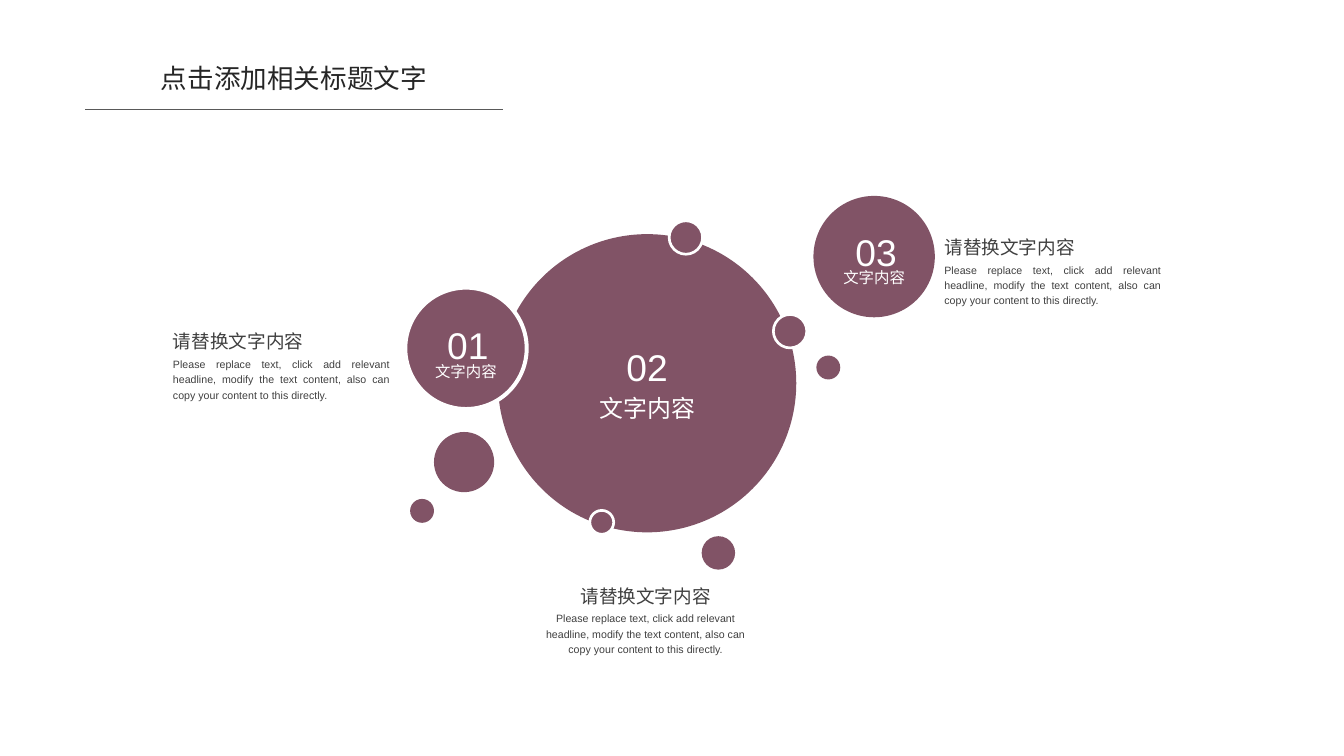
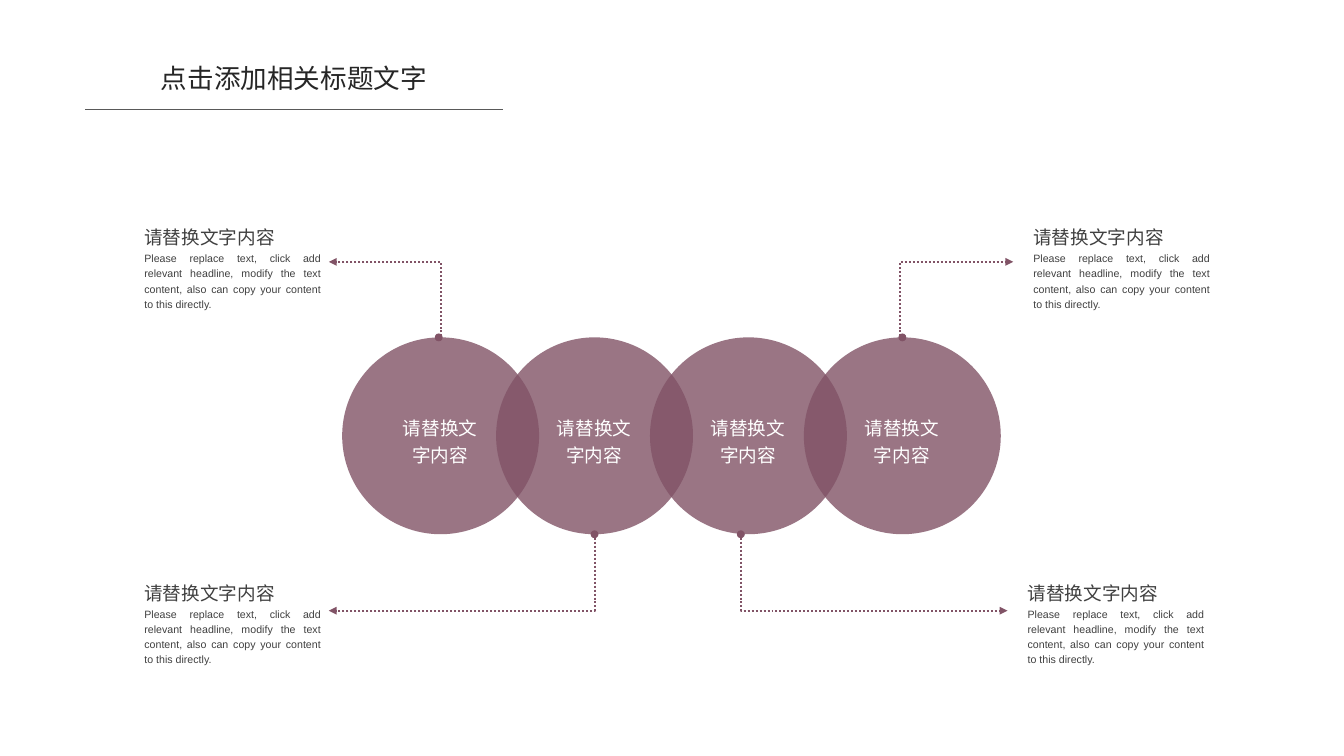
from dataclasses import dataclass

from lxml import etree
from pptx import Presentation
from pptx.dml.color import RGBColor
from pptx.enum.dml import MSO_LINE
from pptx.enum.shapes import MSO_CONNECTOR, MSO_SHAPE
from pptx.enum.text import MSO_ANCHOR, MSO_AUTO_SIZE, PP_ALIGN
from pptx.oxml.ns import qn
from pptx.util import Inches, Pt

CENTER, JUSTIFY = PP_ALIGN.CENTER, PP_ALIGN.JUSTIFY
TOP, MIDDLE = MSO_ANCHOR.TOP, MSO_ANCHOR.MIDDLE
OVAL = MSO_SHAPE.OVAL
STRAIGHT, ELBOW = MSO_CONNECTOR.STRAIGHT, MSO_CONNECTOR.ELBOW
DOTTED = MSO_LINE.ROUND_DOT
FIT_SHAPE = MSO_AUTO_SIZE.SHAPE_TO_FIT_TEXT


@dataclass(frozen=True)
class Theme:
    plum: RGBColor = RGBColor(0x81, 0x53, 0x66)
    white: RGBColor = RGBColor(0xFF, 0xFF, 0xFF)
    title: RGBColor = RGBColor(0x26, 0x26, 0x26)
    text: RGBColor = RGBColor(0x40, 0x40, 0x40)
    rule: RGBColor = RGBColor(0x59, 0x59, 0x59)
    font: str = "Arial"
    title_size: float = 20
    number_size: float = 28
    large_label_size: float = 18
    heading_size: float = 14
    small_label_size: float = 11.6
    body_size: float = 8
    line_spacing: float = 1.2


THEME = Theme()
TITLE = "点击添加相关标题文字"
HEADING = "请替换文字内容"
LABEL = "文字内容"
BODY = ("Please replace text, click add relevant headline, modify the text "
        "content, also can copy your content to this directly.")


def add_text(slide, box, text, size, color, align=CENTER, anchor=TOP,
             line_spacing=THEME.line_spacing):
    shape = slide.shapes.add_textbox(*map(Inches, box))
    frame = shape.text_frame
    frame.word_wrap = True
    frame.auto_size = FIT_SHAPE
    frame.vertical_anchor = anchor
    frame.margin_left = frame.margin_right = 0
    frame.margin_top = frame.margin_bottom = 0
    paragraph = frame.paragraphs[0]
    paragraph.alignment = align
    paragraph.line_spacing = line_spacing
    run = paragraph.add_run()
    run.text = text
    run.font.name = THEME.font
    run.font.size = Pt(size)
    run.font.color.rgb = color


def add_circle(slide, left, top, diameter, outline=0, opacity=100):
    """Draw a plum circle; outline is the width of its white border in points."""
    shape = slide.shapes.add_shape(
        OVAL, *map(Inches, (left, top, diameter, diameter)))
    shape.shadow.inherit = False
    shape.fill.solid()
    shape.fill.fore_color.rgb = THEME.plum
    if opacity < 100:
        color = shape.element.spPr.find(qn("a:solidFill"))[0]
        etree.SubElement(color, qn("a:alpha"), val=str(opacity * 1000))
    if outline:
        shape.line.color.rgb = THEME.white
        shape.line.width = Pt(outline)
    else:
        shape.line.fill.background()


def add_line(slide, kind, start, end, color, width):
    connector = slide.shapes.add_connector(kind, *map(Inches, (*start, *end)))
    connector.line.color.rgb = color
    connector.line.width = Pt(width)
    etree.SubElement(connector.element.spPr, qn("a:effectLst"))
    return connector


def add_leader(slide, start, end, bend):
    """Draw a dotted arrow that leaves vertically; bend is its sideways shift
    in thousandths of a percent of the arrow's width."""
    connector = add_line(slide, ELBOW, start, end, THEME.plum, 1.5)
    connector.line.dash_style = DOTTED
    properties = connector.element.spPr
    outline = properties.find(qn("a:ln"))
    etree.SubElement(outline, qn("a:headEnd"), type="oval")
    etree.SubElement(outline, qn("a:tailEnd"), type="triangle")
    geometry = properties.find(qn("a:prstGeom"))
    adjustments = geometry.find(qn("a:avLst"))
    if adjustments is None:
        adjustments = etree.SubElement(geometry, qn("a:avLst"))
    etree.SubElement(adjustments, qn("a:gd"), name="adj1", fmla=f"val {bend}")


def add_title(slide):
    add_text(slide, (1.4, 0.65, 3.35, 0.34), TITLE, THEME.title_size,
             THEME.title, line_spacing=1.0)
    add_line(slide, STRAIGHT, (0.89, 1.14), (5.26, 1.14), THEME.rule, 0.5)


def add_callout(slide, left, top, width, body_offset, align=JUSTIFY):
    add_text(slide, (left, top, width, 0.26), HEADING, THEME.heading_size,
             THEME.text, align)
    add_text(slide, (left, top + body_offset, width, 0.48), BODY,
             THEME.body_size, THEME.text, align)


def add_numbered_circle(slide, left, top, diameter, number, number_offset,
                        label_offset, label_size, outline=0):
    """Offsets are (sideways from the centre, down from the circle's top)."""
    add_circle(slide, left, top, diameter, outline)
    center = left + diameter / 2
    number_width, label_width = 0.66, 1.11
    shift, drop = number_offset
    add_text(slide, (center + shift - number_width / 2, top + drop,
                     number_width, 0.51),
             number, THEME.number_size, THEME.white)
    shift, drop = label_offset
    add_text(slide, (center + shift - label_width / 2, top + drop,
                     label_width, label_size * 1.3 / 72),
             LABEL, label_size, THEME.white, anchor=MIDDLE)


def build_bubble_slide(slide):
    add_numbered_circle(slide, 5.21, 2.45, 3.12, "02", (0, 1.06), (0, 1.63),
                        THEME.large_label_size)
    bubbles = [
        (7.0, 2.31, 0.35, 2), (6.17, 5.34, 0.25, 2), (8.09, 3.29, 0.35, 2),
        (8.54, 3.72, 0.25, 0), (7.34, 5.61, 0.35, 0), (4.54, 4.52, 0.63, 0),
        (4.29, 5.22, 0.25, 0),
    ]
    for bubble in bubbles:
        add_circle(slide, *bubble)
    add_numbered_circle(slide, 4.24, 3.01, 1.27, "01", (0.02, 0.27),
                        (0, 0.75), THEME.small_label_size, outline=3)
    add_numbered_circle(slide, 8.51, 2.05, 1.27, "03", (0.02, 0.26),
                        (0, 0.73), THEME.small_label_size)
    for left, top, align in [(1.81, 3.41, JUSTIFY), (5.62, 6.07, CENTER),
                             (9.88, 2.42, JUSTIFY)]:
        add_callout(slide, left, top, 2.27, 0.31, align)
    add_title(slide)


def build_chain_slide(slide):
    left, top, diameter, pitch = 3.58, 3.53, 2.06, 1.61
    bottom = top + diameter
    lefts = [left + index * pitch for index in range(4)]
    for circle_left in lefts:
        add_circle(slide, circle_left, top, diameter, opacity=80)
    for circle_left in lefts:
        add_text(slide, (circle_left + 0.57, top + 0.8, 0.91, 0.54), HEADING,
                 THEME.heading_size, THEME.white, anchor=MIDDLE)
    leaders = [
        ((4.59, top), (3.44, 2.74), -2300), ((9.44, top), (10.6, 2.74), -2300),
        ((6.22, bottom), (3.44, 6.39), 0), ((7.75, bottom), (10.54, 6.39), 0),
    ]
    for leader in leaders:
        add_leader(slide, *leader)
    for callout_left, callout_top in [(1.51, 2.32), (10.81, 2.32),
                                      (1.51, 6.04), (10.75, 6.04)]:
        add_callout(slide, callout_left, callout_top, 1.85, 0.29)
    add_title(slide)


def main():
    presentation = Presentation()
    presentation.slide_width = Inches(14.06)
    presentation.slide_height = Inches(7.91)
    blank = presentation.slide_layouts[6]
    for build in (build_bubble_slide, build_chain_slide):
        build(presentation.slides.add_slide(blank))
    presentation.save("out.pptx")


if __name__ == "__main__":
    main()
